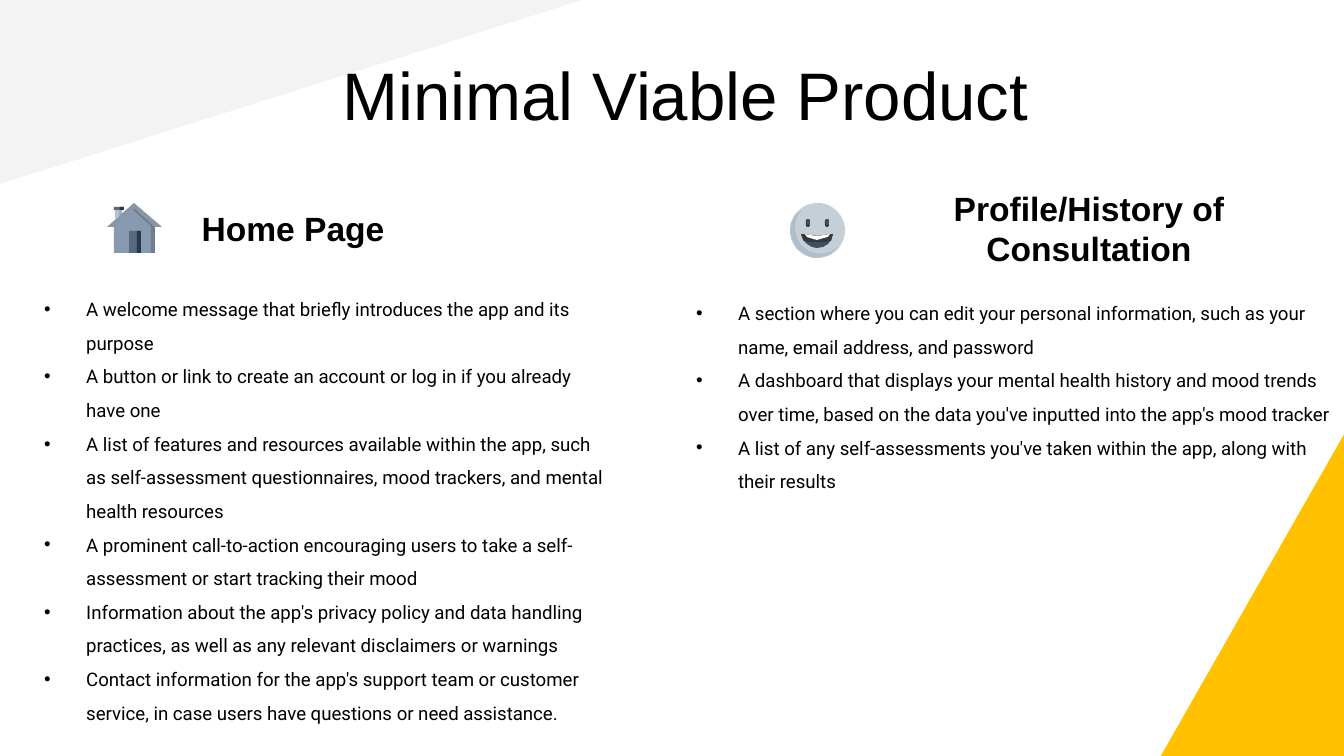
from lxml import etree
from pptx import Presentation
from pptx.dml.color import RGBColor
from pptx.enum.shapes import MSO_SHAPE
from pptx.enum.text import MSO_ANCHOR, MSO_AUTO_SIZE, PP_ALIGN
from pptx.oxml.ns import qn
from pptx.util import Pt

PX = 914400 / 134.4
CENTER = PP_ALIGN.CENTER
TOP, MIDDLE = MSO_ANCHOR.TOP, MSO_ANCHOR.MIDDLE
GROW = MSO_AUTO_SIZE.SHAPE_TO_FIT_TEXT
RIGHT_TRIANGLE = MSO_SHAPE.RIGHT_TRIANGLE
RECTANGLE, ROUNDED, OVAL = MSO_SHAPE.RECTANGLE, MSO_SHAPE.ROUNDED_RECTANGLE, MSO_SHAPE.OVAL

BLACK = "000000"
INDENT = 42

HOME_POINTS = [
    "A welcome message that briefly introduces the app and its purpose",
    "A button or link to create an account or log in if you already have one",
    "A list of features and resources available within the app, such as self-assessment "
    "questionnaires, mood trackers, and mental health resources",
    "A prominent call-to-action encouraging users to take a self-assessment or start "
    "tracking their mood",
    "Information about the app's privacy policy and data handling practices, as well as "
    "any relevant disclaimers or warnings",
    "Contact information for the app's support team or customer service, in case users "
    "have questions or need assistance.",
]
PROFILE_POINTS = [
    "A section where you can edit your personal information, such as your name, email "
    "address, and password",
    "A dashboard that displays your mental health history and mood trends over time, "
    "based on the data you've inputted into the app's mood tracker",
    "A list of any self-assessments you've taken within the app, along with their results",
]


def emu(px):
    return round(px * PX)


def color(hex_code):
    return RGBColor.from_string(hex_code)


def paint(shape, fill):
    shape.fill.solid()
    shape.fill.fore_color.rgb = color(fill)
    shape.line.fill.background()
    shape.shadow.inherit = False
    return shape


def preset(shapes, kind, box, fill):
    return paint(shapes.add_shape(kind, *map(emu, box)), fill)


def polygon(shapes, left, top, points, fill):
    """Closed outline whose points are relative to left and top."""
    builder = shapes.build_freeform(*points[0], scale=PX)
    builder.add_line_segments(points[1:], close=True)
    return paint(builder.convert_to_shape(emu(left), emu(top)), fill)


def corners(shapes):
    grey = preset(shapes, RIGHT_TRIANGLE, (0, 0, 582, 184), "F3F3F3")
    grey.rotation = 180
    grey._element.spPr.xfrm.set("flipH", "1")
    yellow = preset(shapes, RIGHT_TRIANGLE, (1091, 503, 323, 184), "FFC100")
    yellow.rotation = 270


def text_frame(shapes, box, anchor):
    frame = shapes.add_textbox(*map(emu, box)).text_frame
    frame.word_wrap = True
    frame.vertical_anchor = anchor
    return frame


def style(paragraph, font_name, size, bold=False):
    font = paragraph.font
    font.name, font.size, font.bold = font_name, Pt(size), bold
    font.color.rgb = color(BLACK)


def heading(shapes, box, text, size, bold, anchor):
    frame = text_frame(shapes, box, anchor)
    line = frame.paragraphs[0]
    line.text = text
    line.alignment = CENTER
    style(line, "Arial", size, bold)
    return frame


def add_bullet(paragraph):
    props = paragraph._p.get_or_add_pPr()
    props.set("marL", str(emu(INDENT)))
    props.set("indent", str(-emu(INDENT)))
    bullet_color = etree.SubElement(props, qn("a:buClr"))
    etree.SubElement(bullet_color, qn("a:srgbClr"), val=BLACK)
    etree.SubElement(props, qn("a:buFont"), typeface="Arial")
    etree.SubElement(props, qn("a:buChar"), char="•")


def bullet_list(shapes, box, points):
    frame = text_frame(shapes, box, TOP)
    for index, point in enumerate(points):
        item = frame.paragraphs[0] if index == 0 else frame.add_paragraph()
        item.text = point
        add_bullet(item)
        item.line_spacing = 1.5
        style(item, "Roboto", 10)
    return frame


def house(slide_shapes, left, top):
    shapes = slide_shapes.add_group_shape().shapes

    def outline(points, fill):
        polygon(shapes, left, top, points, fill)

    def block(x, y, width, height, fill):
        preset(shapes, RECTANGLE, (left + x, top + y, width, height), fill)

    outline([(8, 7), (8, 16), (15, 11), (15, 7)], "B7C2CF")
    outline([(12, 7), (12, 13), (15, 11), (15, 7)], "9FAEBF")
    outline([(27, 5), (7, 23), (7, 50), (48, 50), (48, 23)], "879AAF")
    outline([(27, 5), (26, 7), (44, 23), (44, 50), (48, 50), (48, 23)], "707F8D")
    block(7, 4, 10, 3, "57697A")
    block(22, 28, 12, 22, "57697A")
    block(30, 28, 4, 22, "22394F")
    outline([(27, 0), (0, 24), (7, 24), (27, 5), (48, 24), (55, 24)], "8797A6")
    block(13, 4, 4, 3, "22394F")


def smiley(slide_shapes, left, top):
    shapes = slide_shapes.add_group_shape().shapes
    lip = [(35, 32), (27, 33), (19, 32)]
    shade = [(11, 7), (5, 12), (1, 20), (0, 28), (2, 37), (7, 46), (15, 52), (24, 55),
             (33, 54), (41, 51), (48, 44), (40, 49), (31, 51), (20, 49), (12, 43),
             (7, 35), (5, 25), (6, 16)]
    mouth = [(11, 31), (13, 37), (17, 41), (22, 44), (27, 45), (33, 44), (38, 41),
             (41, 37), (43, 31)]
    upper_mouth = [(11, 31), (14, 38), (20, 39), (34, 39), (41, 38), (43, 31)]
    teeth = [(15, 31), (17, 34), (20, 35), (27, 37), (34, 35), (38, 34), (40, 31)]

    preset(shapes, OVAL, (left, top, 55, 55), "C5CFD8")
    polygon(shapes, left, top, shade, "B0BDCB")
    polygon(shapes, left, top, mouth + lip, "3C5164")
    polygon(shapes, left, top, upper_mouth + lip, "383838")
    for eye_x in (16, 35):
        for x, width, height, fill in ((eye_x, 4, 8, "383838"), (eye_x + 1, 3, 6, "3C5164")):
            eye = preset(shapes, ROUNDED, (left + x, top + 16, width, height), fill)
            eye.adjustments[0] = 0.5
    polygon(shapes, left, top, teeth + lip, "FFFFFF")


def main():
    deck = Presentation()
    deck.slide_width, deck.slide_height = emu(1344), emu(756)
    shapes = deck.slides.add_slide(deck.slide_layouts[6]).shapes

    corners(shapes)
    title = heading(shapes, (90, 40, 1191, 85), "Minimal Viable Product", 36, False, TOP)
    title.margin_top = title.margin_bottom = emu(13)

    house(shapes, 107, 203)
    heading(shapes, (160, 202, 266, 52), "Home Page", 18, True, MIDDLE)
    bullet_list(shapes, (31, 280, 595, 372), HOME_POINTS)

    heading(shapes, (853, 202, 472, 52), "Profile/History of Consultation", 18, True, MIDDLE)
    smiley(shapes, 790, 203)
    bullet_list(shapes, (683, 284, 672, 247), PROFILE_POINTS).auto_size = GROW

    deck.save("out.pptx")


if __name__ == "__main__":
    main()
